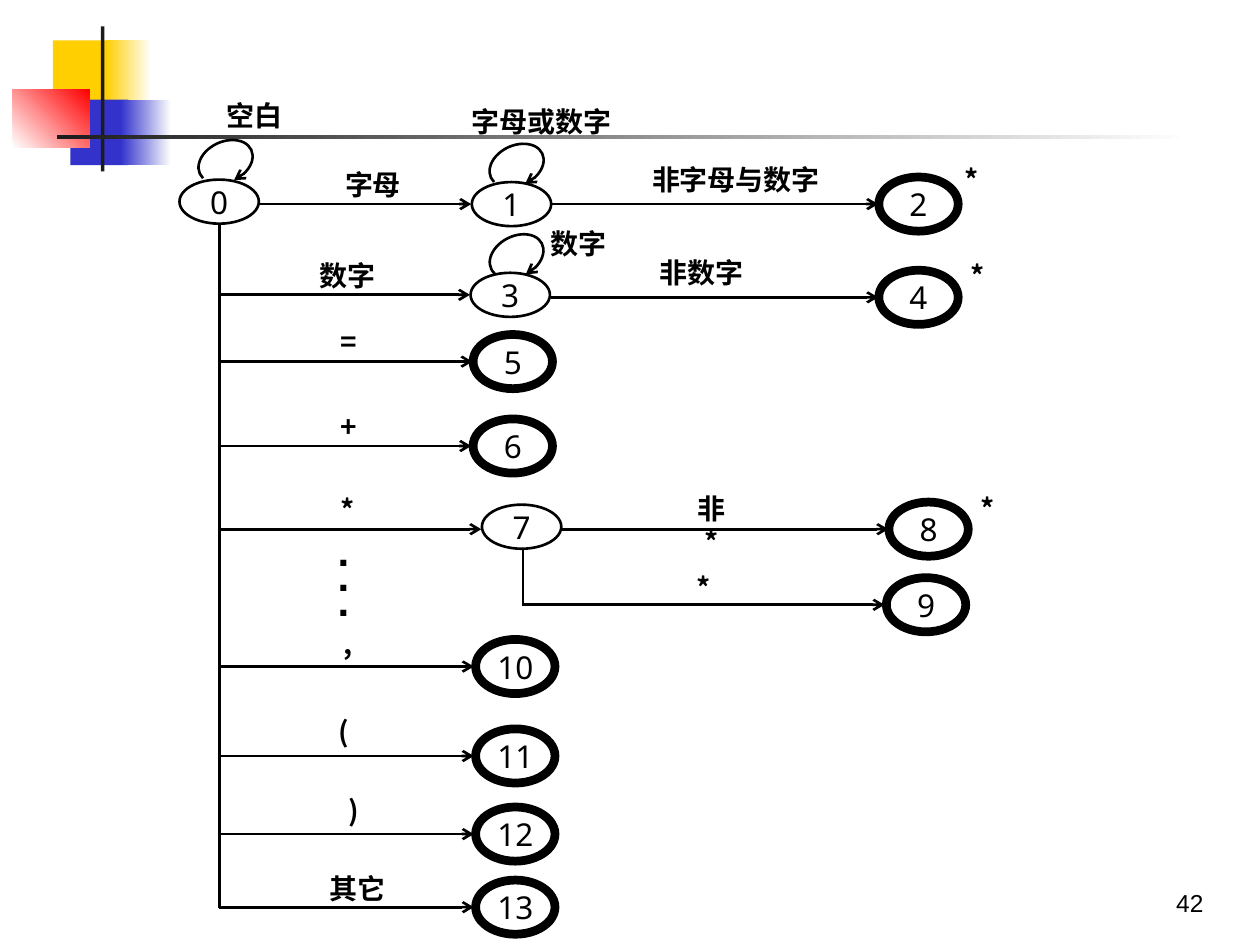
"""Build a slide with the state diagram of a lexical scanner."""
from lxml import etree
from pptx import Presentation
from pptx import util as u
from pptx.dml.color import RGBColor
from pptx.enum import shapes, text
from pptx.oxml.ns import qn

prs = Presentation()
prs.slide_width, prs.slide_height = u.Inches(10), u.Inches(7.5)
s = prs.slides.add_slide(prs.slide_layouts[6])
COL, ROW = prs.slide_width / 100, prs.slide_height / 75
hue = RGBColor.from_string
INK = "000000"


def grid(x, y, w, h):
    return int(x * COL), int(y * ROW), int(w * COL), int(h * ROW)


def write(p, words, size, font, bold=False):
    r = p.add_run()
    r.text = words
    r.font.size, r.font.name, r.font.bold = u.Pt(size), font, bold
    r.font.color.rgb = hue(INK)
    etree.SubElement(r.font._element, qn("a:ea")).set("typeface", font)


decor = [
    (4.2, 3.2, 4.8, 5.2, ["FFCF01"], 0),
    (8.4, 3.2, 3.6, 5.2, ["FFCF01", "FFFFFF"], 0),
    (5.6, 7.9, 4.6, 5.2, ["3333CC"], 0),
    (9.6, 7.9, 4, 5.2, ["3333CC", "FFFFFF"], 0),
    (1, 7.1, 6.1, 4.6, ["FFFFFF", "FF0000"], 45),
    (8, 2.1, 0.3, 11.5, ["1C1C1C"], 0),
    (4.5, 10.7, 90, 0.3, ["1C1C1C", "FFFFFF"], 0),
]
for x, y, w, h, colours, angle in decor:
    sp = s.shapes.add_shape(shapes.MSO_SHAPE.RECTANGLE, *grid(x, y, w, h))
    sp.shadow.inherit = False
    sp.line.fill.background()
    if len(colours) == 1:
        sp.fill.solid()
        sp.fill.fore_color.rgb = hue(colours[0])
    else:
        sp.fill.gradient()
        sp.fill.gradient_angle = angle
        for stop, colour in zip(sp.fill.gradient_stops, colours):
            stop.color.rgb = hue(colour)

trunk = 17.4
edges = [
    (trunk, 17.8, trunk, 72.1, False),
    (41.5, 43.6, 41.5, 48, False),
    (20.5, 16.2, 37.4, 16.2, True),
    (43.7, 16.2, 69.7, 16.2, True),
    (43.7, 23.6, 69.7, 23.6, True),
    (44.5, 42, 70.5, 42, True),
    (41.4, 48, 70.2, 48, True),
]
branches = [(23.4, 37.3), (28.7, 37.5), (35.4, 37.4), (42, 38.2),
            (52.9, 37.6), (60, 37.6), (66.2, 37.6), (72, 37.6)]
edges += [(trunk, y, end, y, True) for y, end in branches]
for x1, y1, x2, y2, arrow in edges:
    line = s.shapes.add_connector(shapes.MSO_CONNECTOR.STRAIGHT, *grid(x1, y1, x2, y2))
    line.line.width = u.Pt(1.5)
    line.line.color.rgb = hue(INK)
    if arrow:
        etree.SubElement(line.line._get_or_add_ln(), qn("a:tailEnd")).set("type", "arrow")
    etree.SubElement(line._element.spPr, qn("a:effectLst"))

states = [
    ("0", 17.4, 16, False), ("1", 40.6, 16.2, False), ("2", 72.9, 16.2, True),
    ("3", 40.5, 23.4, False), ("4", 72.9, 23.6, True), ("5", 40.7, 28.7, True),
    ("6", 40.7, 35.4, True), ("7", 41.4, 41.8, False), ("8", 73.7, 42, True),
    ("9", 73.5, 48, True), ("10", 40.9, 52.9, True), ("11", 40.9, 60, True),
    ("12", 40.9, 66.2, True), ("13", 40.9, 72, True),
]
for name, cx, cy, final in states:
    w, h = 6.3, 4.3 if final else 3.5
    sp = s.shapes.add_shape(shapes.MSO_SHAPE.OVAL, *grid(cx - w / 2, cy - h / 2, w, h))
    sp.shadow.inherit = False
    sp.fill.background()
    sp.line.color.rgb = hue(INK)
    sp.line.width = u.Pt(5 if final else 1.5)
    tf = sp.text_frame
    tf.margin_left = tf.margin_right = int(0.4 * COL)
    tf.vertical_anchor = text.MSO_ANCHOR.MIDDLE
    tf.paragraphs[0].alignment = text.PP_ALIGN.CENTER
    write(tf.paragraphs[0], name, 18, "Noto Sans")

for x, y, turn in [(16.3, 10.6, 65), (39.4, 10.9, 65), (39.4, 18.1, 63)]:
    loop = s.shapes.add_shape(shapes.MSO_SHAPE.ARC, *grid(x, y, 3.2, 4.5))
    loop.shadow.inherit = False
    loop.rotation = turn
    loop.adjustments[0], loop.adjustments[1] = 79 * 0.6, 0
    loop.fill.background()
    loop.line.color.rgb = hue(INK)
    loop.line.width = u.Pt(1.5)
    etree.SubElement(loop.line._get_or_add_ln(), qn("a:tailEnd")).set("type", "arrow")

labels = [
    ("空白", 20.2, 7.8), ("字母", 29.6, 13.3), ("字母或数字", 43, 8.3),
    ("非字母与数字", 58.4, 12.9), ("数字", 27.6, 20.5), ("非数字", 55.7, 20.3),
    ("数字", 45.9, 18), ("=", 27.6, 25.8), ("+", 27.6, 32.5), ("*", 27.6, 39.1),
    ("非*", 56.5, 39), (",", 27.6, 49.7), ("(", 27.3, 56.7), (")", 28.1, 63),
    ("其它", 28.4, 69.2), ("*", 78.4, 39), ("*", 77.1, 12.9), ("*", 77.6, 20.5),
    ("*", 55.8, 45.3),
]
for words, cx, top in labels:
    stacked = words == "非*"
    w = 3 if stacked else sum(1.2 if c.isascii() else 2.4 for c in words)
    tf = s.shapes.add_textbox(*grid(cx - w / 2, top, w, 2.7)).text_frame
    tf.margin_left = tf.margin_right = tf.margin_top = tf.margin_bottom = 0
    tf.word_wrap = stacked
    tf.auto_size = text.MSO_AUTO_SIZE.SHAPE_TO_FIT_TEXT
    tf.paragraphs[0].alignment = text.PP_ALIGN.CENTER
    write(tf.paragraphs[0], words, 16, "Noto Sans CJK SC", True)

tf = s.shapes.add_textbox(*grid(25.3, 42.7, 3.9, 7.3)).text_frame
tf.word_wrap = True
tf.vertical_anchor = text.MSO_ANCHOR.MIDDLE
for i in range(3):
    p = tf.add_paragraph() if i else tf.paragraphs[0]
    p.alignment, p.line_spacing = text.PP_ALIGN.CENTER, 0.5
    write(p, ".", 24, "Arial", True)

tf = s.shapes.add_textbox(*grid(75.7, 68.3, 20.8, 5)).text_frame
tf.word_wrap = True
tf.vertical_anchor = text.MSO_ANCHOR.BOTTOM
tf.paragraphs[0].alignment = text.PP_ALIGN.RIGHT
write(tf.paragraphs[0], "42", 14, "Arial")

prs.save("out.pptx")
